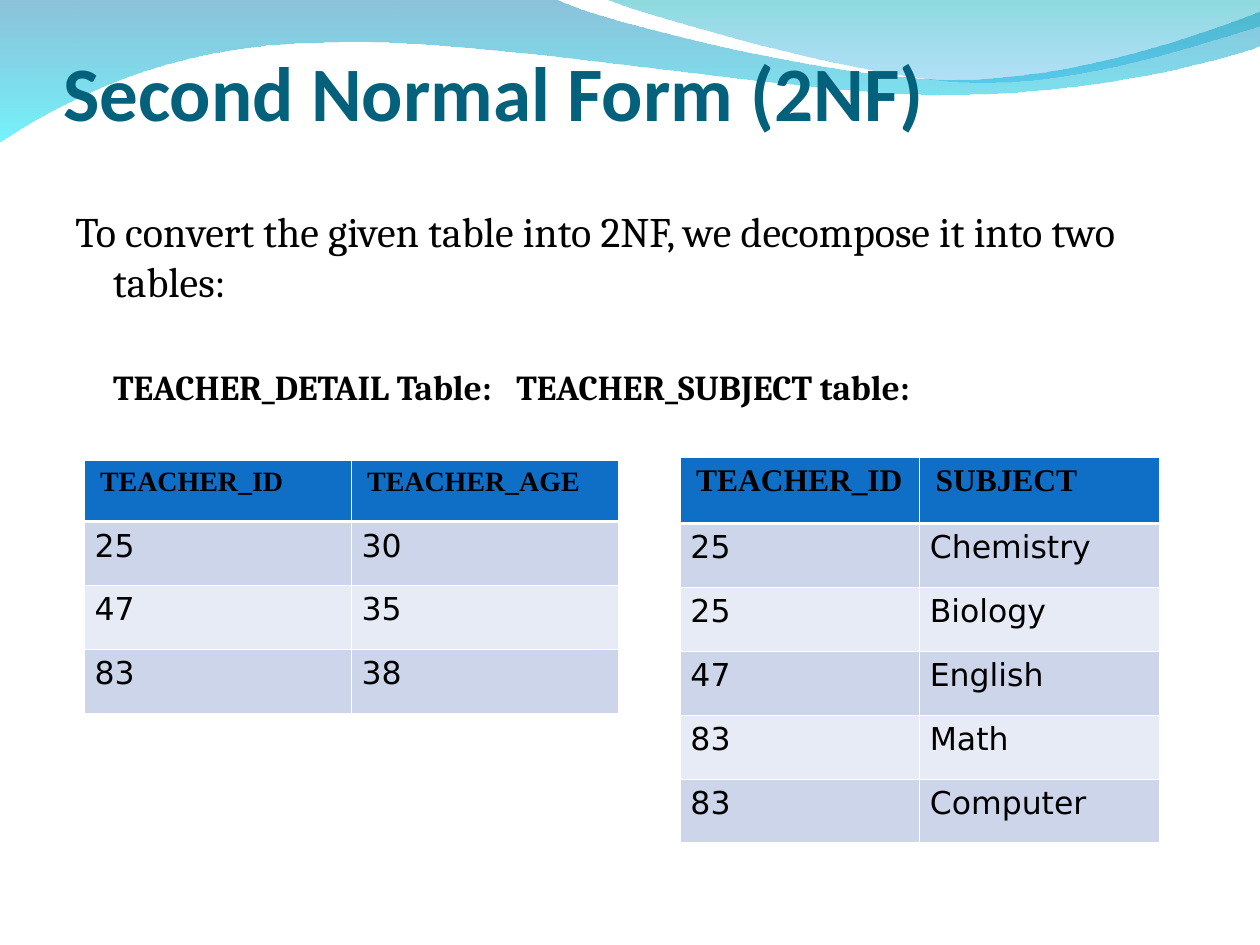
"""Build the Second Normal Form slide with two decomposed tables."""
from dataclasses import dataclass

from lxml import etree
from pptx import Presentation
from pptx.dml.color import RGBColor
from pptx.enum.text import MSO_ANCHOR, MSO_AUTO_SIZE, PP_ALIGN
from pptx.oxml.ns import qn
from pptx.util import Emu, Inches, Pt

LEFT = PP_ALIGN.LEFT
TOP = MSO_ANCHOR.TOP
BOTTOM = MSO_ANCHOR.BOTTOM
NO_FIT = MSO_AUTO_SIZE.NONE


@dataclass(frozen=True)
class Theme:
    title: str = "04617B"
    text: str = "000000"
    header: str = "0F6FC6"
    bands: tuple = ("CCD5EA", "E7EBF5")
    border: str = "FFFFFF"
    title_font: str = "Calibri"
    body_font: str = "Cambria"
    header_font: str = "Times New Roman"
    cell_font: str = "DejaVu Sans"
    title_size: int = 44
    body_size: int = 24
    caption_size: int = 20
    cell_size: int = 18
    thin: float = 0.45
    thick: float = 1.47


theme = Theme()
prs = Presentation()
prs.slide_width, prs.slide_height = Inches(10), Inches(7.5)
UNIT = prs.slide_width / 100


def grid(*values):
    """Turn counts of grid units into lengths."""
    return [Emu(round(v * UNIT)) for v in values]


def write(tf, text, font, size, color=theme.text, bold=False,
          margin=0, indent=0, before=0, tab=0):
    """Write one formatted paragraph into a text frame."""
    p = tf.add_paragraph() if tf.text else tf.paragraphs[0]
    p.alignment = LEFT
    p.space_before = Pt(before)
    p_pr = p._p.get_or_add_pPr()
    for name, length in zip(("marL", "indent"), grid(margin, indent)):
        p_pr.set(name, str(length))
    if tab:
        stop = etree.SubElement(etree.SubElement(p_pr, qn("a:tabLst")), qn("a:tab"))
        stop.set("pos", str(grid(tab)[0]))
        stop.set("algn", "l")
    r = p.add_run()
    r.text = text
    r.font.name, r.font.size, r.font.bold = font, Pt(size), bold
    r.font.color.rgb = RGBColor.from_string(color)


s = prs.slides.add_slide(prs.slide_layouts[5])
title = s.shapes.title
title.left, title.top, title.width, title.height = grid(5, 3.2, 90, 7.7)
tf = title.text_frame
tf.auto_size, tf.vertical_anchor, tf.word_wrap = NO_FIT, BOTTOM, True
tf.margin_left, tf.margin_top, tf.margin_right, tf.margin_bottom = grid(0, 0.5, 0, 0)
write(tf, "Second Normal Form (2NF)", theme.title_font, theme.title_size,
      theme.title, bold=True)

waves = [
    ([(0, -0.01), (4.4, -0.01),
      (4.76, 0.17, 6.64, 0.63, 7.58, 0.63), (8.53, 0.63, 9.58, 0.26, 10, 0.09),
      (10.01, 0.36),
      (9.83, 0.44, 8.7, 0.76, 7.46, 0.75), (6.22, 0.75, 3.82, 0.28, 2.57, 0.34),
      (1.29, 0.35, 0.46, 0.83, -0.01, 1.13)],
     [("0079AF", 45), ("00EBF8", 55)]),
    ([(4.79, -0.01),
      (5.09, 0.11, 6.82, 0.62, 7.69, 0.65), (8.56, 0.69, 9.61, 0.32, 10, 0.21),
      (10, 0)],
     [("00ADB6", 45), ("009BE5", 30)]),
]
SCALE = 1000
for segments, stops in waves:
    ends = [(round(seg[-2] * SCALE), round(seg[-1] * SCALE)) for seg in segments]
    builder = s.shapes.build_freeform(*ends[0], scale=Inches(1) / SCALE)
    builder.add_line_segments(ends[1:], close=True)
    wave = builder.convert_to_shape()
    origin = [min(values) for values in zip(*ends)]
    for line, seg in zip(list(wave.element.iter(qn("a:lnTo"))), segments[1:]):
        if len(seg) == 6:
            curve = etree.Element(qn("a:cubicBezTo"))
            for xy in (seg[:2], seg[2:4], seg[4:]):
                pt = etree.SubElement(curve, qn("a:pt"))
                for axis, value, start in zip("xy", xy, origin):
                    pt.set(axis, str(round(value * SCALE) - start))
            line.getparent().replace(line, curve)
    wave.shadow.inherit = False
    wave.line.fill.background()
    wave.fill.gradient()
    wave.fill.gradient_angle = 270
    for stop, (color, _) in zip(wave.fill.gradient_stops, stops):
        stop.color.rgb = RGBColor.from_string(color)
    for clr, (_, opacity) in zip(wave.element.iter(qn("a:srgbClr")), stops):
        etree.SubElement(clr, qn("a:alpha")).set("val", str(opacity * 1000))
    title.element.addprevious(wave.element)

tf = s.shapes.add_textbox(*grid(5, 11, 90, 58.2)).text_frame
tf.word_wrap = True
tf.margin_top, = grid(5.3)
write(tf, "To convert the given table into 2NF, we decompose it into two tables:",
      theme.body_font, theme.body_size, margin=3, indent=-3)
write(tf, "TEACHER_DETAIL Table:\tTEACHER_SUBJECT table:", theme.body_font,
      theme.caption_size, bold=True, indent=3, before=34, tab=46.1)

tables = [
    ((6.7, 36.5), 21.2, 4.9, 16,
     [("TEACHER_ID", "TEACHER_AGE"), ("25", "30"), ("47", "35"), ("83", "38")]),
    ((54, 36.3), 19, 5.25, 18,
     [("TEACHER_ID", "SUBJECT"), ("25", "Chemistry"), ("25", "Biology"),
      ("47", "English"), ("83", "Math"), ("83", "Computer")]),
]
ROW = 5.07
for corner, col_width, header_height, header_size, rows in tables:
    size = (2 * col_width, header_height + ROW * (len(rows) - 1))
    table = s.shapes.add_table(len(rows), 2, *grid(*corner, *size)).table
    for column in table.columns:
        column.width, = grid(col_width)
    for i, values in enumerate(rows):
        table.rows[i].height, = grid(ROW if i else header_height)
        for j, value in enumerate(values):
            cell = table.cell(i, j)
            cell.fill.solid()
            fill = theme.bands[(i - 1) % 2] if i else theme.header
            cell.fill.fore_color.rgb = RGBColor.from_string(fill)
            write(cell.text_frame, value,
                  theme.cell_font if i else theme.header_font,
                  theme.cell_size if i else header_size, bold=not i)
            side = 0.8 if i else 1.25
            cell.vertical_anchor = TOP
            cell.margin_left, cell.margin_top, cell.margin_right, cell.margin_bottom = grid(
                side, 0.5, side, 0.5)
            tc_pr = cell._tc.get_or_add_tcPr()
            for k, edge in enumerate(("lnL", "lnR", "lnT", "lnB")):
                at_header = (i, edge) in ((0, "lnB"), (1, "lnT"))
                ln = etree.Element(qn(f"a:{edge}"))
                ln.set("w", str(Pt(theme.thick if at_header else theme.thin)))
                solid = etree.SubElement(ln, qn("a:solidFill"))
                etree.SubElement(solid, qn("a:srgbClr")).set("val", theme.border)
                tc_pr.insert(k, ln)

prs.save("out.pptx")
